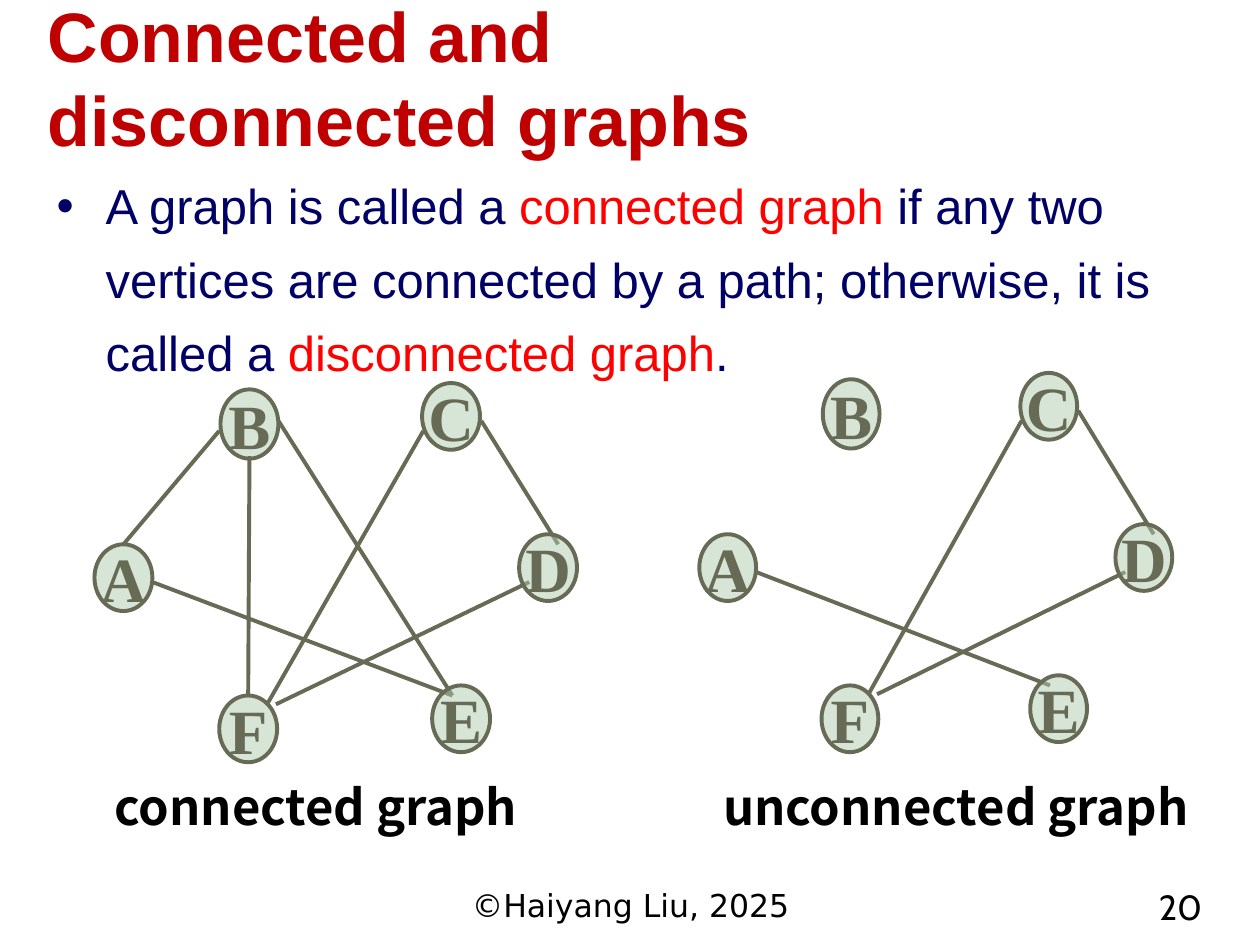
from dataclasses import dataclass

from lxml.etree import SubElement
from pptx import Presentation
from pptx.dml.color import RGBColor
from pptx.enum.shapes import MSO_CONNECTOR, MSO_SHAPE
from pptx.enum.text import MSO_ANCHOR, PP_ALIGN
from pptx.oxml.ns import qn
from pptx.util import Emu, Inches, Pt

COLORS = {
    "title": "C00000", "body": "000066", "accent": "FF0000",
    "node": "B0CCB0", "edge": "676A55", "black": "000000",
}
SLIDE_WIDTH, SLIDE_HEIGHT = Inches(10), Inches(7.5)
COLUMNS, ROWS = 100, 75  # square grid cells


@dataclass(frozen=True)
class Node:
    column: float
    row: float
    height: float = 5.3


@dataclass(frozen=True)
class Edge:
    start: tuple[float, float]
    end: tuple[float, float]


@dataclass(frozen=True)
class Graph:
    """A placement of the shared node layout, keeping some nodes and edges."""
    left: float
    top: float
    scale: float
    edges: tuple[str, ...]


@dataclass(frozen=True)
class Label:
    text: str
    box: tuple[float, float, float, float]
    font: str
    size: float
    color: str = "black"
    bold: bool = False
    align: PP_ALIGN = PP_ALIGN.LEFT
    anchor: MSO_ANCHOR = MSO_ANCHOR.TOP
    spacing: float | None = None


# Positions are measured from the left and top of the graph
NODE_WIDTH = 4.6
NODES = {
    "A": Node(0, 12.8), "B": Node(10, 0.5, 5.5), "C": Node(26, 0),
    "D": Node(33.7, 12), "F": Node(9.9, 24.8), "E": Node(26.8, 24),
}
EDGES = {
    "AB": Edge((9.9, 3.8), (2.3, 12.8)),
    "BE": Edge((14.6, 3), (28.4, 24.8)),
    "AE": Edge((4.6, 15.8), (28.4, 24.8)),
    "CF": Edge((26.1, 3.8), (13.7, 25.5)),
    "CD": Edge((30.7, 3), (36.8, 12.8)),
    "DF": Edge((34.5, 15.8), (14.4, 25.5)),
    "BF": Edge((12.3, 5.8), (12.2, 24.8)),
}
GRAPHS = (
    Graph(7.5, 30.4, 1, tuple(EDGES)),
    Graph(55.5, 29.6, 0.98, ("AE", "CF", "CD", "DF")),
)
CAPTION_FONT = "Noto Sans CJK SC"
LABELS = (
    Label("Connected and disconnected graphs", (2.8, 2.1, 78, 7.9), "Arial", 40,
          "title", True, anchor=MSO_ANCHOR.MIDDLE, spacing=48),
    Label("connected graph", (8.1, 61.1, 34.8, 5.7), CAPTION_FONT, 28, bold=True),
    Label("unconnected graph", (56.4, 61.1, 40.1, 5.7), CAPTION_FONT, 28, bold=True),
    Label("©Haiyang Liu, 2025", (34.2, 69.8, 31.7, 3.9), "DejaVu Sans", 18,
          align=PP_ALIGN.CENTER),
    Label("20", (81.1, 69.8, 15.3, 3.9), "Cabin", 20, align=PP_ALIGN.RIGHT),
)
DEFINITION = (
    ("A graph is called a ", "body"),
    ("connected graph", "accent"),
    (" if any two vertices are connected by a path; otherwise, it is called a ", "body"),
    ("disconnected graph", "accent"),
    (".", "body"),
)


def across(columns: float) -> Emu:
    return Emu(round(SLIDE_WIDTH * columns / COLUMNS))


def down(rows: float) -> Emu:
    return Emu(round(SLIDE_HEIGHT * rows / ROWS))


def rgb(name: str) -> RGBColor:
    return RGBColor.from_string(COLORS[name])


def style_font(font, name: str, size: float, color: str, bold: bool = False) -> None:
    font.name, font.size, font.bold = name, Pt(size), bold
    font.color.rgb = rgb(color)


def add_text_box(slide, box: tuple[float, float, float, float]):
    left, top, width, height = box
    shape = slide.shapes.add_textbox(across(left), down(top), across(width), down(height))
    shape.text_frame.word_wrap = True
    return shape.text_frame


def add_label(slide, label: Label) -> None:
    text_frame = add_text_box(slide, label.box)
    text_frame.text = label.text
    text_frame.vertical_anchor = label.anchor
    paragraph = text_frame.paragraphs[0]
    paragraph.alignment = label.align
    if label.spacing:
        paragraph.line_spacing = Pt(label.spacing)
    style_font(paragraph.runs[0].font, label.font, label.size, label.color, label.bold)


def add_definition(slide) -> None:
    paragraph = add_text_box(slide, (3.5, 12.3, 92.9, 14.2)).paragraphs[0]
    paragraph.line_spacing, paragraph.space_after = Pt(42), Pt(6)
    properties = paragraph._p.get_or_add_pPr()
    properties.set("marL", str(across(3.9)))
    properties.set("indent", str(-across(3.9)))
    SubElement(properties, qn("a:buFont"), typeface="Arial")
    SubElement(properties, qn("a:buChar"), char="•")
    for text, color in DEFINITION:
        run = paragraph.add_run()
        run.text = text
        style_font(run.font, "Arial", 28, color)


def add_node(group, graph: Graph, name: str) -> None:
    node = NODES[name]
    shape = group.shapes.add_shape(
        MSO_SHAPE.OVAL, across(graph.left + node.column * graph.scale),
        down(graph.top + node.row), across(NODE_WIDTH * graph.scale), down(node.height))
    shape.shadow.inherit = False
    shape.fill.solid()
    shape.fill.fore_color.rgb = rgb("node")
    fill_color = shape._element.spPr.find(qn("a:solidFill"))[0]
    SubElement(fill_color, qn("a:alpha"), val="50000")
    shape.line.color.rgb, shape.line.width = rgb("edge"), Pt(2.25)
    text_frame = shape.text_frame
    text_frame.text = name
    text_frame.word_wrap = False
    text_frame.vertical_anchor = MSO_ANCHOR.MIDDLE
    paragraph = text_frame.paragraphs[0]
    paragraph.alignment = PP_ALIGN.CENTER
    style_font(paragraph.runs[0].font, "Times New Roman", 36, "edge", True)


def add_edge(group, graph: Graph, edge: Edge) -> None:
    points = [length for column, row in (edge.start, edge.end)
              for length in (across(graph.left + column * graph.scale),
                             down(graph.top + row))]
    connector = group.shapes.add_connector(MSO_CONNECTOR.STRAIGHT, *points)
    connector.line.color.rgb, connector.line.width = rgb("edge"), Pt(2.25)
    SubElement(connector._element.spPr, qn("a:effectLst"))


def add_graph(slide, graph: Graph) -> None:
    group = slide.shapes.add_group_shape()
    # Edges lie above A and B but below the other nodes
    for name in "BA":
        add_node(group, graph, name)
    for name in graph.edges:
        add_edge(group, graph, EDGES[name])
    for name in "CDFE":
        add_node(group, graph, name)


def main() -> None:
    presentation = Presentation()
    presentation.slide_width, presentation.slide_height = SLIDE_WIDTH, SLIDE_HEIGHT
    slide = presentation.slides.add_slide(presentation.slide_layouts[6])
    # Title, captions and footer
    for label in LABELS:
        add_label(slide, label)
    add_definition(slide)
    for graph in GRAPHS:
        add_graph(slide, graph)
    presentation.save("out.pptx")


if __name__ == "__main__":
    main()
